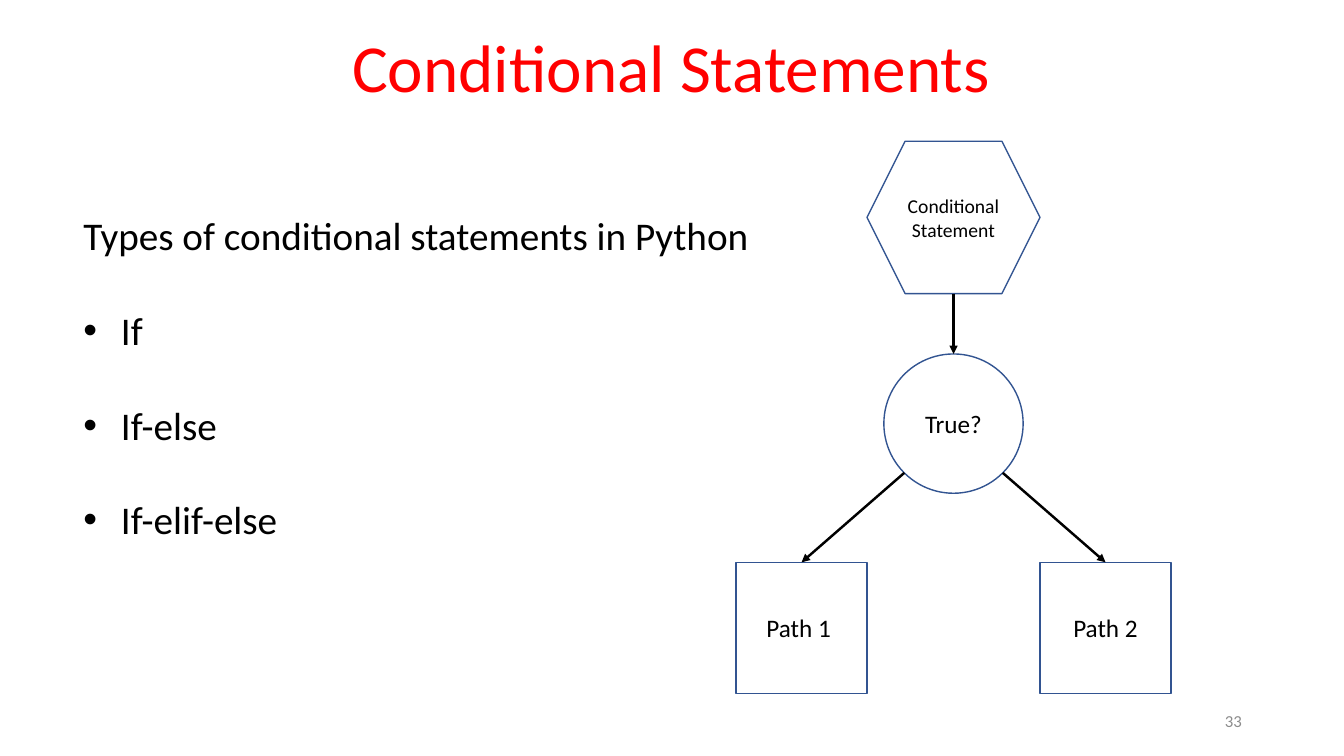
from math import sqrt

from lxml import etree
from pptx import Presentation
from pptx.dml.color import RGBColor
from pptx.enum.shapes import MSO_CONNECTOR, MSO_SHAPE
from pptx.enum.text import MSO_ANCHOR, PP_ALIGN
from pptx.oxml.ns import qn
from pptx.util import Cm, Pt

HEXAGON, CIRCLE, SQUARE = MSO_SHAPE.HEXAGON, MSO_SHAPE.OVAL, MSO_SHAPE.RECTANGLE
STRAIGHT = MSO_CONNECTOR.STRAIGHT
LEFT, CENTER, RIGHT = PP_ALIGN.LEFT, PP_ALIGN.CENTER, PP_ALIGN.RIGHT
TOP, MIDDLE, BOTTOM = MSO_ANCHOR.TOP, MSO_ANCHOR.MIDDLE, MSO_ANCHOR.BOTTOM

TITLE = "Conditional Statements"
INTRO = "Types of conditional statements in Python"
TYPES = ["If", "If-else", "If-elif-else"]
CONDITION = "Conditional Statement"
QUESTION = "True?"
PATHS = [("Path 1 ", -1), ("Path 2", 1)]
PAGE_NUMBER = "33"

FONT = "Calibri"
BLACK, RED, GREY, BLUE = "000000", "FF0000", "8C8C8C", "325491"
AXIS = 24.03
PATH_OFFSET = 3.83
HEXAGON_TOP, HEXAGON_WIDTH, HEXAGON_HEIGHT = 3.56, 4.36, 3.84
CIRCLE_TOP, CIRCLE_SIZE = 8.92, 3.51
SQUARE_TOP, SQUARE_SIZE = 14.17, 3.3
BULLET_INDENT = 0.95


def color(hex_text):
    return RGBColor.from_string(hex_text)


def write(shape, texts, size=18, ink=BLACK, align=LEFT, anchor=TOP,
          bulleted=False, gap=0, spacing=None):
    frame = shape.text_frame
    frame.word_wrap = True
    frame.vertical_anchor = anchor
    for index, text in enumerate(texts):
        paragraph = frame.paragraphs[0] if index == 0 else frame.add_paragraph()
        paragraph.alignment = align
        if spacing:
            paragraph.line_spacing = spacing
        if index:
            paragraph.space_before = Pt(gap)
        if bulleted and index:
            properties = paragraph._p.get_or_add_pPr()
            properties.set("marL", str(Cm(BULLET_INDENT)))
            properties.set("indent", str(-Cm(BULLET_INDENT)))
            etree.SubElement(properties, qn("a:buFont"), typeface="Arial")
            etree.SubElement(properties, qn("a:buChar"), char="•")
        run = paragraph.add_run()
        run.text = text
        run.font.name = FONT
        run.font.size = Pt(size)
        run.font.color.rgb = color(ink)


def add_text(slide, box, texts, **style):
    write(slide.shapes.add_textbox(*map(Cm, box)), texts, **style)


def add_node(slide, kind, center, top, width, height, text, size=18):
    shape = slide.shapes.add_shape(
        kind, Cm(center - width / 2), Cm(top), Cm(width), Cm(height))
    shape.shadow.inherit = False
    shape.fill.background()
    shape.line.color.rgb = color(BLUE)
    shape.line.width = Pt(1)
    write(shape, [text], size=size, align=CENTER, anchor=MIDDLE)
    return shape


def add_arrow(slide, x, y, target):
    connector = slide.shapes.add_connector(STRAIGHT, Cm(x), Cm(y), Cm(x), Cm(y))
    connector.end_connect(target, 0)
    connector.line.color.rgb = color(BLACK)
    connector.line.width = Pt(1.75)
    etree.SubElement(connector.line._get_or_add_ln(), qn("a:tailEnd"), type="triangle")
    etree.SubElement(connector._element.spPr, qn("a:effectLst"))


def add_flowchart(slide):
    add_node(slide, HEXAGON, AXIS, HEXAGON_TOP, HEXAGON_WIDTH, HEXAGON_HEIGHT,
             CONDITION, size=14)
    question = add_node(slide, CIRCLE, AXIS, CIRCLE_TOP, CIRCLE_SIZE, CIRCLE_SIZE, QUESTION)
    add_arrow(slide, AXIS, HEXAGON_TOP + HEXAGON_HEIGHT, question)
    radius = CIRCLE_SIZE / 2
    diagonal = radius / sqrt(2)
    for text, side in PATHS:
        square = add_node(slide, SQUARE, AXIS + side * PATH_OFFSET, SQUARE_TOP,
                          SQUARE_SIZE, SQUARE_SIZE, text)
        add_arrow(slide, AXIS + side * diagonal, CIRCLE_TOP + radius + diagonal, square)


def main():
    """Build the slide on conditional statements and save it."""
    presentation = Presentation()
    presentation.slide_width, presentation.slide_height = Cm(33.87), Cm(19.05)
    slide = presentation.slides.add_slide(presentation.slide_layouts[6])
    add_flowchart(slide)
    add_text(slide, (1.85, 5.21, 17.65, 8.64), [INTRO] + TYPES,
             size=28, bulleted=True, gap=34)
    add_text(slide, (23.93, 17.65, 7.62, 1.02), [PAGE_NUMBER],
             size=12, ink=GREY, align=RIGHT, anchor=MIDDLE)
    add_text(slide, (2.31, 0.05, 29.21, 2.77), [TITLE],
             size=48, ink=RED, align=CENTER, anchor=BOTTOM, spacing=0.9)
    presentation.save("out.pptx")


if __name__ == "__main__":
    main()
